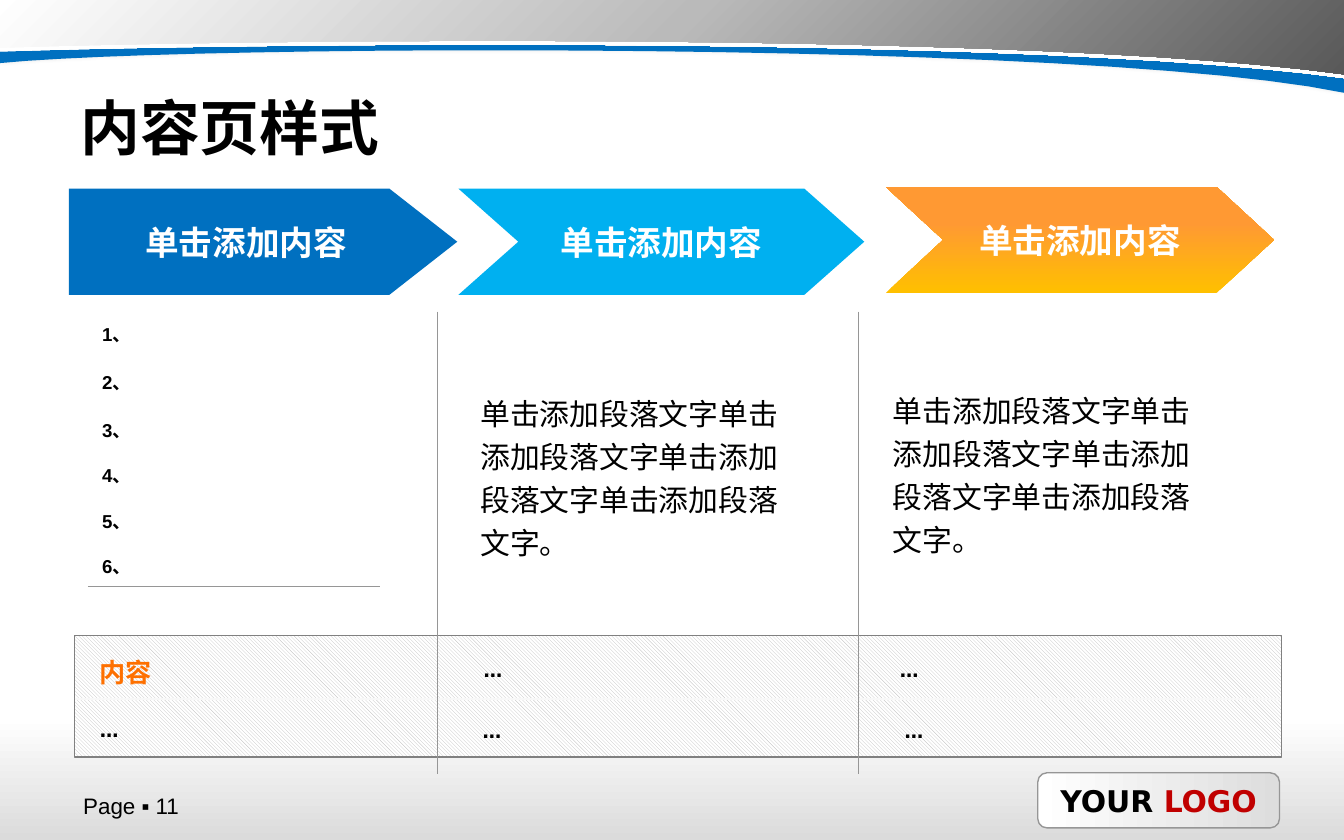
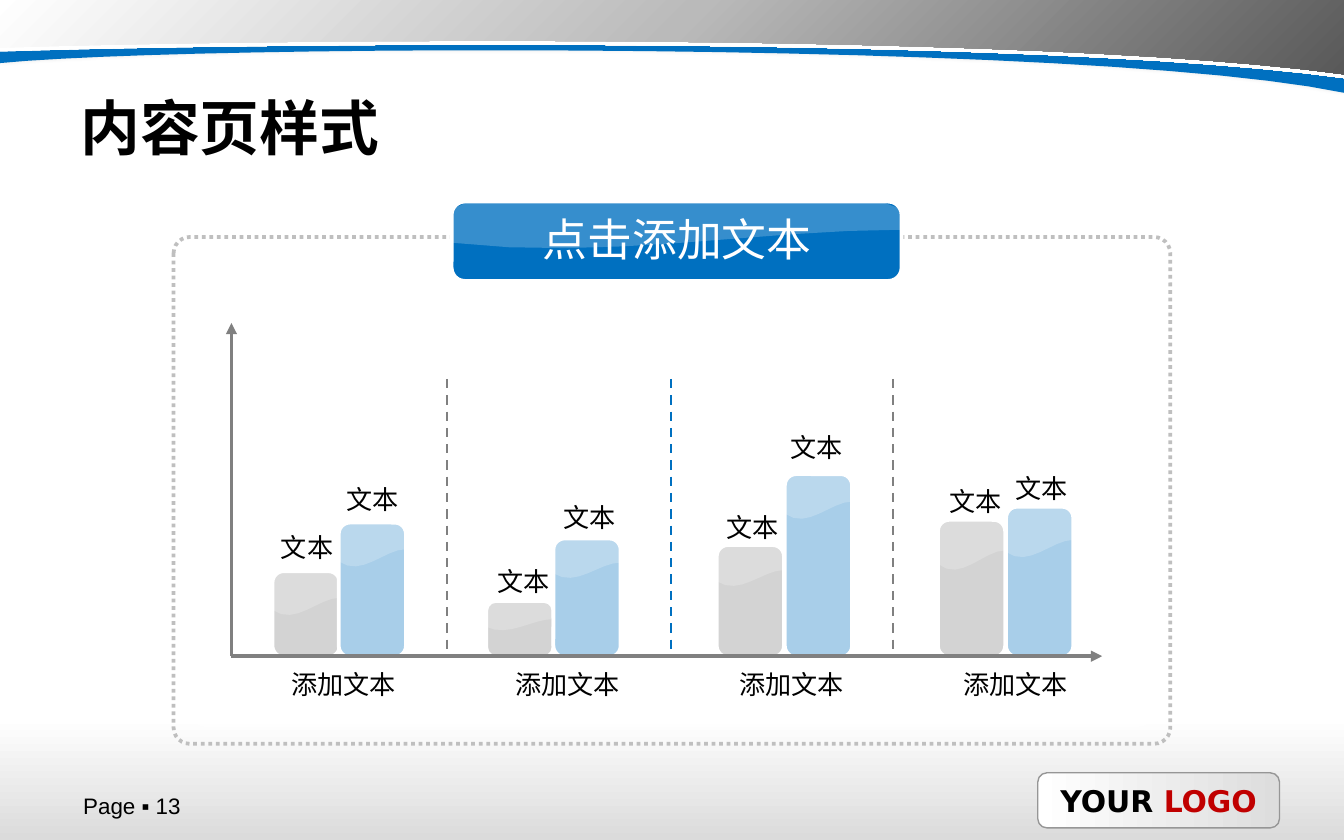
"""Build two content slides: a three-step process and a paired bar diagram."""
import copy
import dataclasses

import lxml.etree
import pptx
import pptx.dml.color
import pptx.enum.dml
import pptx.enum.shapes
import pptx.enum.text
import pptx.oxml.ns
import pptx.util

Pt = pptx.util.Pt
qn = pptx.oxml.ns.qn
rgb = pptx.dml.color.RGBColor.from_string
SHAPE = pptx.enum.shapes.MSO_SHAPE
ALIGN = pptx.enum.text.PP_ALIGN
ANCHOR = pptx.enum.text.MSO_ANCHOR
DASH = pptx.enum.dml.MSO_LINE


@dataclasses.dataclass(frozen=True)
class Theme:
    blue: str = "0070C0"
    sky: str = "00B0F0"
    orange: str = "FF9933"
    amber: str = "FFC000"
    accent: str = "FE7000"
    red: str = "C00000"
    black: str = "000000"
    white: str = "FFFFFF"
    off_white: str = "F8F8F8"
    charcoal: str = "595959"
    gray: str = "808080"
    rule: str = "969696"
    silver: str = "BABABA"
    frame: str = "BFBFBF"
    hatch: str = "C0C0C0"
    pale: str = "DDDDDD"
    footer: str = "DBDBDB"
    heading_font: str = "DejaVu Sans"
    body_font: str = "Arial"
    label_font: str = "Calibri"
    east_asian_font: str = "Noto Sans CJK SC"
    title_size: int = 32
    banner_size: int = 24
    step_size: int = 18
    body_size: int = 16
    label_size: int = 14
    page_size: int = 12
    small_size: int = 10


theme = Theme()


def draw(slide, kind, box, fill=None, angle=0, alpha=100, line=None, adjust=None, arrow=False):
    left, top, width, height = box
    lengths = [Pt(value) for value in box]
    if kind == "text":
        return slide.shapes.add_textbox(*lengths)
    if kind == "line":
        shape = slide.shapes.add_connector(
            pptx.enum.shapes.MSO_CONNECTOR.STRAIGHT,
            Pt(left), Pt(top), Pt(left + width), Pt(top + height))
    elif isinstance(kind, list):
        points = [(Pt(left + x * width), Pt(top + y * height)) for x, y in kind]
        builder = slide.shapes.build_freeform(*points[0], scale=1.0)
        builder.add_line_segments(points[1:], close=True)
        shape = builder.convert_to_shape()
    else:
        shape = slide.shapes.add_shape(kind, *lengths)
    properties = shape._element.spPr
    if line:
        color, weight, dash = line
        shape.line.color.rgb = rgb(color)
        shape.line.width = Pt(weight)
        if dash:
            shape.line.dash_style = dash
    else:
        shape.line.fill.background()
    if kind == "line":
        if arrow:
            lxml.etree.SubElement(properties.find(qn("a:ln")), qn("a:tailEnd"), type="triangle")
        lxml.etree.SubElement(properties, qn("a:effectLst"))
        return shape
    shape.shadow.inherit = False
    if adjust is not None:
        shape.adjustments[0] = adjust
    if fill is None:
        shape.fill.background()
    elif isinstance(fill, list):
        shape.fill.gradient()
        shape.fill.gradient_angle = -angle % 360
        stop_list = properties.find(".//" + qn("a:gsLst"))
        for _ in fill[2:]:
            stop_list.append(copy.deepcopy(stop_list[0]))
        for stop, (position, color) in zip(shape.fill.gradient_stops, fill):
            stop.position = position
            stop.color.rgb = rgb(color)
    else:
        shape.fill.solid()
        shape.fill.fore_color.rgb = rgb(fill)
        if alpha < 100:
            color_element = properties.find(qn("a:solidFill"))[0]
            lxml.etree.SubElement(color_element, qn("a:alpha"), val=str(alpha * 1000))
    return shape


def write(shape, text, size, font, color=theme.black, bold=False, align=ALIGN.LEFT, wrap=True):
    frame = shape.text_frame
    frame.text = text
    frame.word_wrap = wrap
    frame.vertical_anchor = ANCHOR.MIDDLE
    paragraph = frame.paragraphs[0]
    paragraph.alignment = align
    run = paragraph.runs[0]
    run.font.size = Pt(size)
    run.font.name = font
    run.font.bold = bold
    run.font.color.rgb = rgb(color)
    lxml.etree.SubElement(
        run._r.get_or_add_rPr(), qn("a:ea"), typeface=theme.east_asian_font)
    return paragraph


segments = {
    ("blue band", 24): [(1, 1), (0.81, 0.43, 0.14, 0.48, 0, 0.68), (0, 0), (1, 0)],
    ("gray band", 24): [(1, 1), (0.77, 0.46, 0.21, 0.54, 0, 0.66), (0, 0), (1, 0)],
    ("gloss", 8): [(0.04, 0.09), (0.16, 0), (0.86, 0), (0.94, 0.07), (1, 0.22), (1, 0.53),
                   (0.68, 0.53, 0.34, 1, 0, 0.73), (0, 0.22)],
}
outlines = {}
for (name, step_count), parts in segments.items():
    outline = outlines[name] = []
    for part in parts:
        if len(part) == 2:
            outline.append(part)
            continue
        controls = [outline[-1], part[:2], part[2:4], part[4:]]
        for step in range(1, step_count + 1):
            t = step / step_count
            weights = ((1 - t) ** 3, 3 * t * (1 - t) ** 2, 3 * t * t * (1 - t), t ** 3)
            outline.append(tuple(
                sum(weight * control[axis] for weight, control in zip(weights, controls))
                for axis in (0, 1)))

presentation = pptx.Presentation()
presentation.slide_width = Pt(720)
presentation.slide_height = Pt(450)

band_gradient = [(0, theme.white), (0.5, theme.silver), (1, theme.charcoal)]
bands = [
    ("blue band", (0, 0, 720, 49.7), theme.blue, (theme.black, 40, 4, 3, 270)),
    ("gray band", (0, -2, 720, 41.8), band_gradient, (theme.white, 100, 0, 2, 90)),
]
slides = []
for page in (11, 13):
    slide = presentation.slides.add_slide(presentation.slide_layouts[6])
    slides.append(slide)
    draw(slide, SHAPE.RECTANGLE, (0, 384, 720, 66),
         [(0, theme.white), (1, theme.footer)], angle=90)
    button = draw(slide, SHAPE.ROUNDED_RECTANGLE, (556, 414, 129.5, 29.5),
                  [(0, theme.white), (1, theme.pale)], line=(theme.rule, 0.75, None))
    paragraph = write(button, "YOUR ", theme.body_size, theme.heading_font,
                      bold=True, align=ALIGN.CENTER, wrap=False)
    run = paragraph.add_run()
    run.text = "LOGO"
    run.font.size = Pt(theme.body_size)
    run.font.name = theme.heading_font
    run.font.bold = True
    run.font.color.rgb = rgb(theme.red)
    for name, box, fill, (color, opacity, blur, distance, direction) in bands:
        band = draw(slide, outlines[name], box, fill, angle=45)
        shadow = lxml.etree.SubElement(
            band._element.spPr.find(qn("a:effectLst")), qn("a:outerShdw"),
            blurRad=str(Pt(blur)), dist=str(Pt(distance)), dir=str(direction * 60000))
        shadow_color = lxml.etree.SubElement(shadow, qn("a:srgbClr"), val=color)
        lxml.etree.SubElement(shadow_color, qn("a:alpha"), val=str(opacity * 1000))
    write(draw(slide, "text", (36, 43, 648, 50)), "内容页样式",
          theme.title_size, theme.heading_font, bold=True)
    write(draw(slide, "text", (37.5, 423.5, 113, 16)), f"Page ▪ {page}",
          theme.page_size, theme.body_font)

process, diagram = slides

body = "单击添加段落文字" * 4 + "。"
for left, width, bottom_margin in ((470, 183.5, 23), (249, 182, 20)):
    shape = draw(process, SHAPE.ROUNDED_RECTANGLE, (left, 110, width, 304.5), adjust=0.024)
    write(shape, body, theme.body_size, theme.body_font).line_spacing = 1.2
    shape.text_frame.margin_bottom = Pt(bottom_margin)

steps = [
    (SHAPE.CHEVRON, (474.5, 100, 208, 57), 0.541, [(0, theme.amber), (0.66, theme.orange)]),
    (SHAPE.CHEVRON, (245.5, 101, 217.5, 57), 0.564, theme.sky),
    (SHAPE.PENTAGON, (37, 101, 208, 57), 0.639, theme.blue),
]
for kind, box, adjust, fill in steps:
    shape = draw(process, kind, box, fill, angle=270, adjust=adjust)
    write(shape, "单击添加内容", theme.step_size, theme.heading_font, theme.white,
          bold=True, align=ALIGN.CENTER, wrap=False)

table = process.shapes.add_table(6, 1, Pt(47.5), Pt(165), Pt(155.5), Pt(149)).table
table.first_row = False
table.horz_banding = False
for index, row in enumerate(table.rows):
    row.height = Pt(24.4 if index else 27)
    cell = row.cells[0]
    write(cell, f"{index + 1}、", theme.small_size, theme.body_font, bold=True)
    cell.vertical_anchor = ANCHOR.MIDDLE if index < 2 else ANCHOR.BOTTOM
    cell.fill.background()
    border = lxml.etree.Element(qn("a:lnB"), w=str(Pt(0.25)))
    border_fill = lxml.etree.SubElement(border, qn("a:solidFill"))
    lxml.etree.SubElement(border_fill, qn("a:srgbClr"), val=theme.rule)
    cell._tc.get_or_add_tcPr().insert(0, border)

summary = draw(process, SHAPE.RECTANGLE, (40, 340.5, 646.5, 65), line=(theme.gray, 0.75, None))
summary.fill.patterned()
summary.fill.pattern = pptx.enum.dml.MSO_PATTERN.LIGHT_DOWNWARD_DIAGONAL
summary.fill.fore_color.rgb = rgb(theme.hatch)
summary.fill.back_color.rgb = rgb(theme.white)
draw(process, "line", (40, 374.5, 646, 0), line=(theme.off_white, 1, None))
write(draw(process, "text", (46, 348, 42.5, 24)), "内容", theme.label_size,
      theme.heading_font, theme.accent, bold=True, wrap=False)
for box in ((46.5, 381.5, 27.5, 19.5), (252, 351.5, 182, 15), (251.5, 382, 24.5, 19.5),
            (477.5, 382, 24.5, 19.5), (475, 351.5, 182, 15)):
    write(draw(process, "text", box), "…", theme.small_size, theme.heading_font,
          bold=True, wrap=False)
for left in (234.5, 460):
    draw(process, "line", (left, 167, 0, 247.5), line=(theme.rule, 0.25, None))

baseline = 352
white_edge = (theme.white, 2, None)
bars = [
    (146, 306, 303, 32.5, 143, 281),
    (181.5, 280, 277, 32.5, 178, 255),
    (260.5, 322, 320.5, 21, 259, 299),
    (296.5, 288.5, 286, 29, 294.5, 265),
    (384, 292, 289.5, 30, 381.5, 270),
    (420.5, 254, 251.5, 32.5, 416, 227.5),
    (502.5, 278.5, 275.5, 36.5, 501, 256),
    (539, 271.5, 272, 32.5, 536.5, 249),
]
for index, (left, top, gloss_top, gloss_height, _, _) in enumerate(bars):
    draw(diagram, SHAPE.ROUNDED_RECTANGLE, (left, top, 36, baseline - top),
         theme.blue if index % 2 else theme.gray, line=white_edge)
    draw(diagram, outlines["gloss"], (left, gloss_top, 36, gloss_height), theme.white, alpha=21)

draw(diagram, SHAPE.ROUNDED_RECTANGLE, (93, 127, 534, 271.5),
     line=(theme.frame, 2, DASH.ROUND_DOT), adjust=0.032)
draw(diagram, SHAPE.ROUNDED_RECTANGLE, (101.5, 134, 517, 255.5),
     theme.white, alpha=66, adjust=0.035)
for left, color in ((239.5, theme.gray), (359.5, theme.blue), (478.5, theme.gray)):
    draw(diagram, "line", (left, 203, 0, 147.5), line=(color, 1.25, DASH.DASH))

labels = [("添加文本", (148.5 + 120 * group, 354, 71, 24.5)) for group in range(4)]
labels += [("文本", (left, top, 43, 24.5)) for *_, left, top in bars]
for text, box in labels:
    write(draw(diagram, "text", box), text, theme.label_size, theme.label_font,
          align=ALIGN.CENTER, wrap=False)

for width, height in ((0, -178.5), (466.5, 0)):
    draw(diagram, "line", (124, 351.5, width, height), line=(theme.gray, 2, None), arrow=True)

draw(diagram, SHAPE.ROUNDED_RECTANGLE, (242, 108, 241, 42.5), theme.blue, line=white_edge)
draw(diagram, outlines["gloss"], (242, 104.5, 241.5, 35), theme.white, alpha=21)
write(draw(diagram, "text", (234.5, 110, 256.5, 36)), "点击添加文本", theme.banner_size,
      theme.east_asian_font, theme.white, align=ALIGN.CENTER)

presentation.save("out.pptx")
